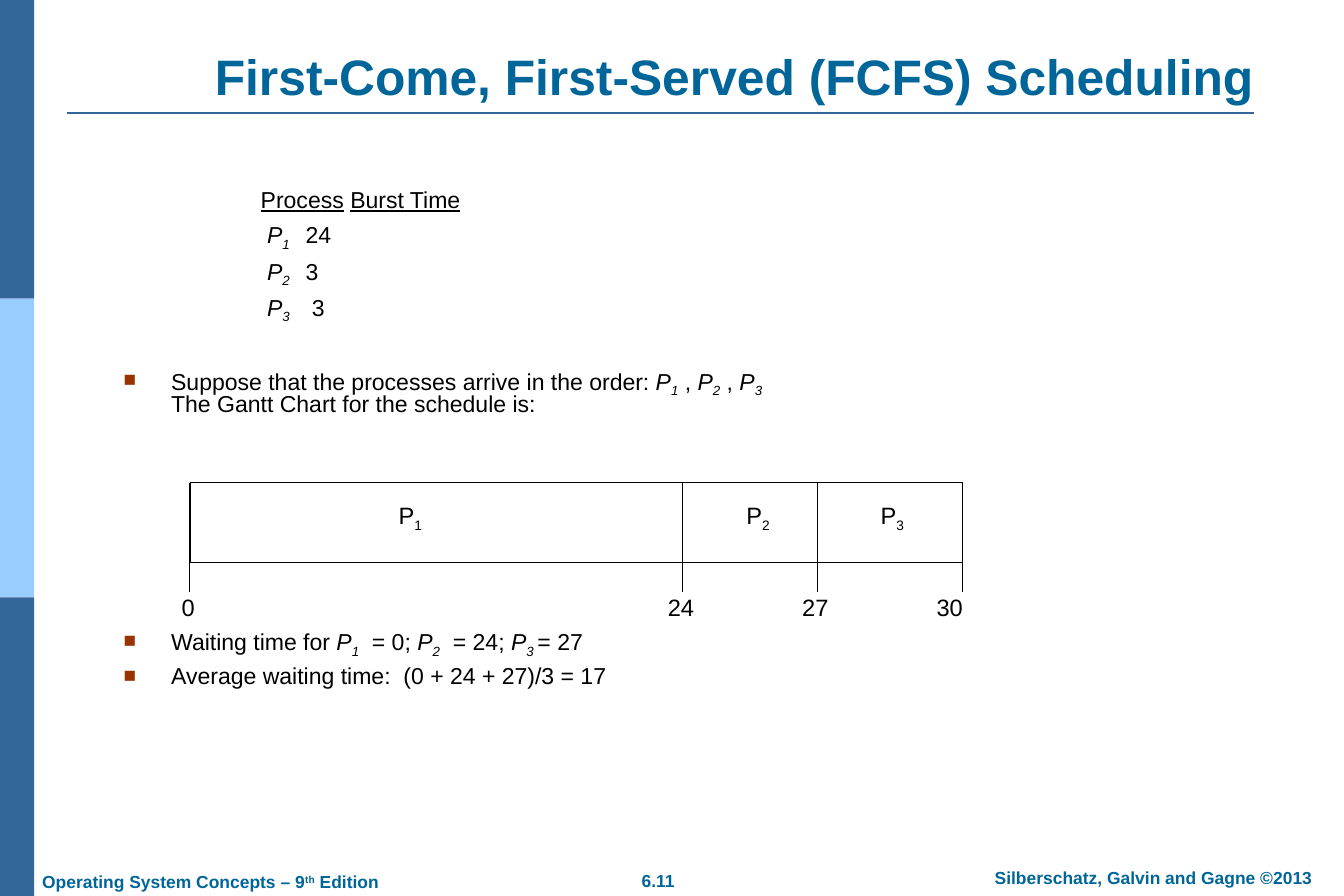
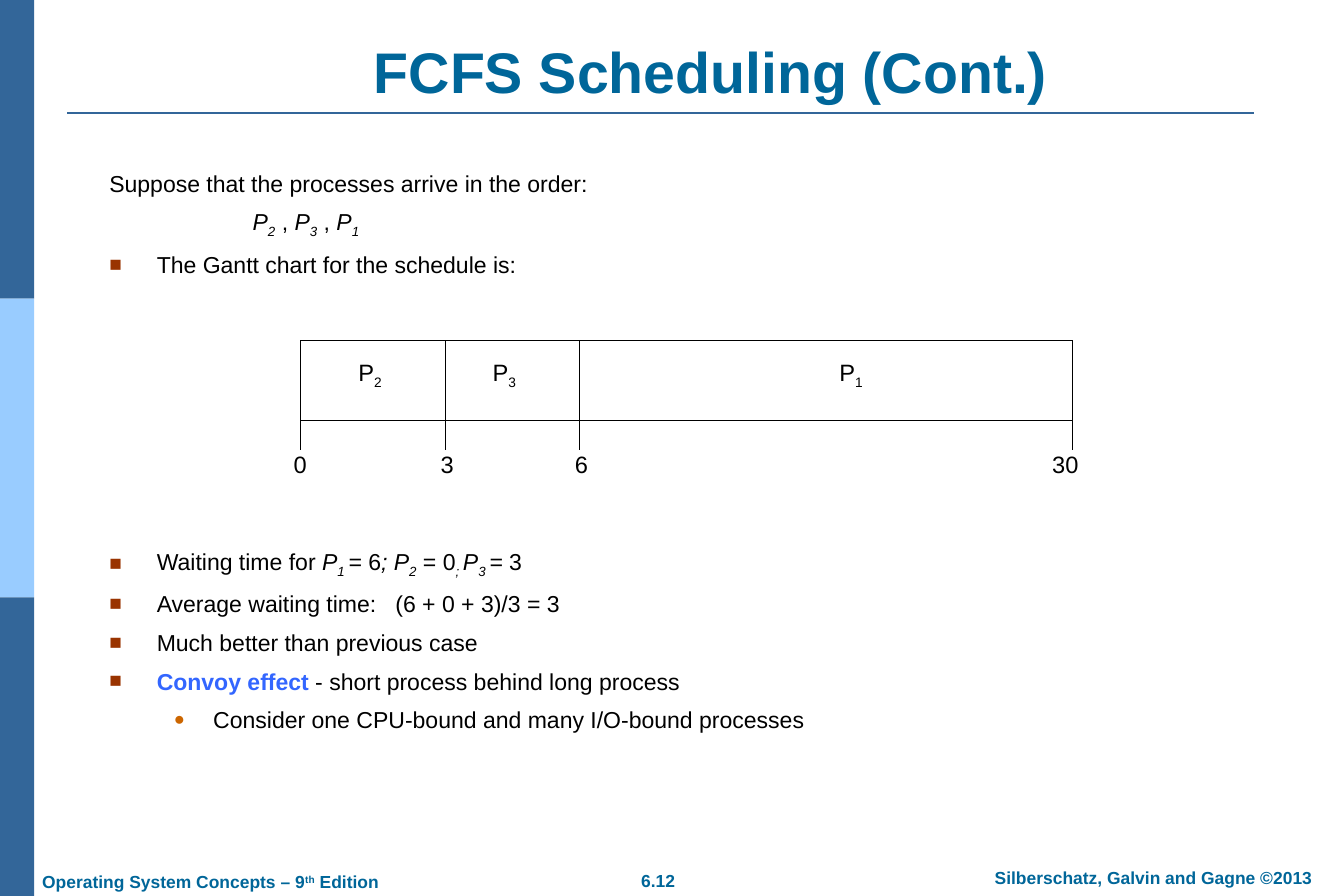
"""Build two slides on first-come, first-served scheduling."""
from lxml import etree
from pptx import Presentation
from pptx.dml.color import RGBColor
from pptx.enum import shapes, text as texts
from pptx.oxml import ns
from pptx.util import Inches, Pt

TEAL = RGBColor(0x00, 0x66, 0x99)
NAVY = RGBColor(0x33, 0x66, 0x99)
SKY = RGBColor(0x99, 0xCC, 0xFF)
BLUE = RGBColor(0x33, 0x66, 0xFF)
BLACK = RGBColor(0, 0, 0)
WHITE = RGBColor(255, 255, 255)
CENTER = texts.PP_ALIGN.CENTER
SQUARE = ("■", "993300", 90)
DOT = ("●", "CC6600", 80)
BASELINES = {"s": "-25000", "t": "30000"}


def add_frame(page, left, top, width, height, wrap=True, inset=(0.14, 0.07),
              anchor=texts.MSO_ANCHOR.TOP, box=None):
    """Place a text box, or the given placeholder, and return its text frame."""
    box = box or page.shapes.add_textbox(0, 0, 0, 0)
    box.left, box.top, box.width, box.height = map(Inches, (left, top, width, height))
    frame = box.text_frame
    frame.word_wrap = wrap
    frame.auto_size = texts.MSO_AUTO_SIZE.NONE
    frame.vertical_anchor = anchor
    frame.margin_left = frame.margin_right = Inches(inset[0])
    frame.margin_top = frame.margin_bottom = Inches(inset[1])
    return frame


def write(frame, text, size=18.5, color=BLACK, bold=False, align=texts.PP_ALIGN.LEFT,
          spacing=1.0, before=8.8, bullet=None, margin=0, indent=0, tab=None):
    """Write a paragraph of spans parted by |, each with style letters ahead of ^."""
    para = frame.paragraphs[0]
    if para.runs:
        para = frame.add_paragraph()
        para.space_before = Pt(before)
    else:
        para.space_before = Pt(0)
    para.alignment = align
    para.line_spacing = spacing
    props = para._p.get_or_add_pPr()
    props.set("marL", str(Inches(margin)))
    props.set("indent", str(Inches(indent)))
    if bullet:
        mark, tint, percent = bullet
        holder = etree.SubElement(props, ns.qn("a:buClr"))
        etree.SubElement(holder, ns.qn("a:srgbClr"), val=tint)
        etree.SubElement(props, ns.qn("a:buSzPct"), val=str(percent * 1000))
        etree.SubElement(props, ns.qn("a:buFont"), typeface="Arial")
        etree.SubElement(props, ns.qn("a:buChar"), char=mark)
    else:
        etree.SubElement(props, ns.qn("a:buNone"))
    if tab:
        stops = etree.SubElement(props, ns.qn("a:tabLst"))
        etree.SubElement(stops, ns.qn("a:tab"), pos=str(Inches(tab)), algn="l")
    for piece in text.split("|"):
        if piece == "\n":
            para.add_line_break()
            continue
        style, _, words = piece.rpartition("^")
        span = para.add_run()
        span.text = words
        span.font.name = "Arial"
        span.font.size = Pt(size)
        span.font.bold = bold or "b" in style
        span.font.italic = "i" in style
        span.font.underline = "u" in style
        span.font.color.rgb = BLUE if "b" in style else color
        for letter, shift in BASELINES.items():
            if letter in style:
                span._r.get_or_add_rPr().set("baseline", shift)


LISTED = dict(bullet=SQUARE, margin=0.53, indent=-0.53)
TIGHT = dict(spacing=0.8)
ROW = dict(TIGHT, tab=1.01)

PAGES = [
    dict(
        number="6.11",
        title=("First-Come, First-Served (FCFS) Scheduling", 40, (1.63, 0.58, 13.13, 0.67)),
        chart_top=5.39,
        edges=[2.12, 7.62, 9.12, 10.74],
        ticks=[("0", 2.1), ("24", 7.6), ("27", 9.1), ("30", 10.6)],
        bars=[("1", 4.58), ("2", 8.46), ("3", 9.96)],
        blocks=[
            ((2.77, 2.06, 4, 1.7), [
                ("u^Process|\t|u^Burst Time", ROW),
                (" |i^P|is^1|\t24", ROW),
                (" |i^P|is^2|\t3", ROW),
                (" |i^P|is^3|\t 3", ROW),
            ]),
            ((1.24, 4.06, 12.41, 0.8), [
                ("Suppose that the processes arrive in the order: |i^P|is^1| , |i^P|is^2| , "
                 "|i^P|is^3|\n|The Gantt Chart for the schedule is:", LISTED | TIGHT),
            ]),
            ((1.24, 6.97, 12.41, 0.9), [
                ("Waiting time for |i^P|is^1|  = 0; |i^P|is^2|  = 24; |i^P|is^3 |= 27",
                 LISTED | TIGHT),
                ("Average waiting time:  (0 + 24 + 27)/3 = 17", LISTED | TIGHT),
            ]),
        ],
    ),
    dict(
        number="6.12",
        title=("FCFS Scheduling (Cont.)", 46, (1.61, 0.4, 12.64, 0.84)),
        chart_top=3.8,
        edges=[3.35, 4.97, 6.47, 11.97],
        ticks=[("0", 3.35), ("3", 4.99), ("6", 6.49), ("30", 11.89)],
        bars=[("2", 4.13), ("3", 5.63), ("1", 9.5)],
        blocks=[
            ((1.08, 1.82, 13.5, 1.5), [
                ("Suppose that the processes arrive in the order:", {}),
                ("i^P|is^2| , |i^P|is^3| , |i^P|is^1", dict(margin=1.6)),
                ("The Gantt chart for the schedule is:", LISTED),
            ]),
            ((1.08, 6.04, 13.5, 2.4), [
                ("Waiting time for |i^P|is^1 |i^=| 6|i^; P|is^2| = 0|is^; |i^P|is^3 |i^= |3",
                 LISTED),
                ("Average waiting time:   (6 + 0 + 3)/3 = 3", LISTED),
                ("Much better than previous case", LISTED),
                ("b^Convoy effect |- short process behind long process", LISTED),
                ("Consider one CPU-bound and many I/O-bound processes",
                 dict(bullet=DOT, margin=1.16, indent=-0.44)),
            ]),
        ],
    ),
]

BAR_HEIGHT = 0.89
TICK_LENGTH = 0.33
BAND_HEIGHT = 10 / 3

deck = Presentation()
deck.slide_width, deck.slide_height = Inches(15), Inches(10)

for content in PAGES:
    page = deck.slides.add_slide(deck.slide_layouts[5])
    top, edges = content["chart_top"], content["edges"]

    rects = [(0, i * BAND_HEIGHT, 0.38, BAND_HEIGHT, fill, None)
             for i, fill in enumerate((NAVY, SKY, NAVY))]
    rects.append((edges[0], top, edges[-1] - edges[0], BAR_HEIGHT, WHITE, BLACK))
    for *place, fill, outline in rects:
        rect = page.shapes.add_shape(shapes.MSO_SHAPE.RECTANGLE, *map(Inches, place))
        rect.shadow.inherit = False
        rect.fill.solid()
        rect.fill.fore_color.rgb = fill
        if outline is None:
            rect.line.fill.background()
        else:
            rect.line.color.rgb = outline
            rect.line.width = Pt(0.75)

    lines = [(0.75, 1.26, 14, 1.26, NAVY, 1.5)]
    lines += [(edge, top, edge, top + BAR_HEIGHT + TICK_LENGTH, BLACK, 0.75) for edge in edges]
    for *ends, color, weight in lines:
        line = page.shapes.add_connector(shapes.MSO_CONNECTOR.STRAIGHT, *map(Inches, ends))
        line.line.color.rgb = color
        line.line.width = Pt(weight)
        etree.SubElement(line._element.spPr, ns.qn("a:effectLst"))

    heading, size, place = content["title"]
    frame = add_frame(page, *place, anchor=texts.MSO_ANCHOR.BOTTOM, box=page.shapes.title)
    write(frame, heading, size=size, color=TEAL, bold=True, align=CENTER)

    footers = [
        ("Operating System Concepts – 9|t^th| Edition", (0.33, 9.65, 4.05, 0.38),
         texts.PP_ALIGN.LEFT),
        (content["number"], (6.65, 9.64, 1.39, 0.38), CENTER),
        ("Silberschatz, Galvin and Gagne ©2013", (10.65, 9.61, 4.45, 0.38), CENTER),
    ]
    for words, place, align in footers:
        write(add_frame(page, *place), words, size=14, color=TEAL, bold=True, align=align)

    labels = [(f"P|s^{process}", x, top + 0.15, 0.46) for process, x in content["bars"]]
    labels += [(time, x, top + 1.17, 0.42) for time, x in content["ticks"]]
    for words, x, label_top, height in labels:
        frame = add_frame(page, x - 0.3, label_top, 0.6, height, wrap=False,
                          inset=(0.1, 0.05), anchor=texts.MSO_ANCHOR.MIDDLE)
        write(frame, words, size=19, align=CENTER)

    for place, paras in content["blocks"]:
        frame = add_frame(page, *place)
        for words, style in paras:
            write(frame, words, **style)

deck.save("out.pptx")
